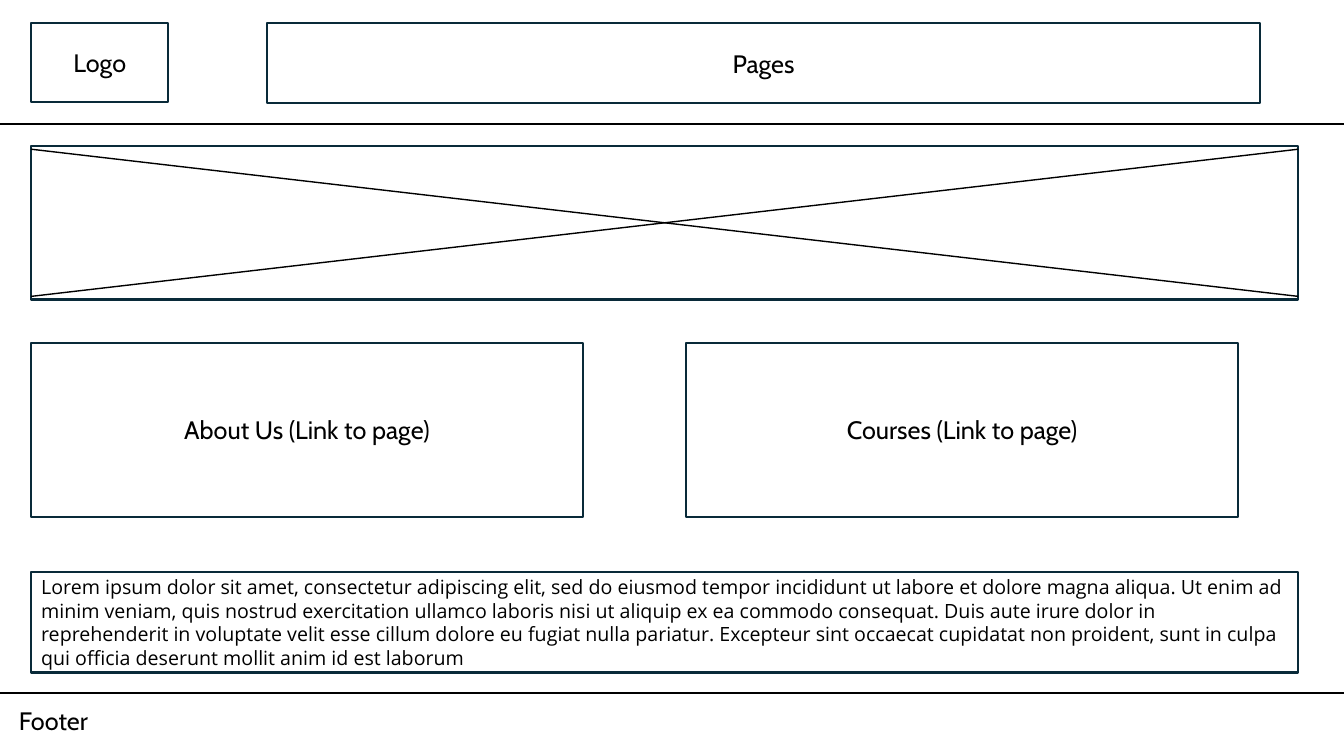
from lxml import etree
from pptx import Presentation
from pptx.dml.color import RGBColor
from pptx.enum.shapes import MSO_CONNECTOR, MSO_SHAPE
from pptx.enum.text import MSO_ANCHOR, MSO_AUTO_SIZE, PP_ALIGN
from pptx.oxml.ns import qn
from pptx.util import Pt

STRAIGHT = MSO_CONNECTOR.STRAIGHT
RECTANGLE = MSO_SHAPE.RECTANGLE
MIDDLE = MSO_ANCHOR.MIDDLE
GROW = MSO_AUTO_SIZE.SHAPE_TO_FIT_TEXT
LEFT, CENTER = PP_ALIGN.LEFT, PP_ALIGN.CENTER

PAGE_WIDTH, PAGE_HEIGHT = 960, 540
MARGIN = 22.3
CONTENT_WIDTH = 905
HEADER_TOP = 16.6
CARD_TOP, CARD_WIDTH, CARD_HEIGHT, CARD_STEP = 244.8, 393.9, 124.6, 468
CROSS_TOP, CROSS_BOTTOM = 106.6, 211.7

BLACK, WHITE, NAVY = "000000", "FFFFFF", "092A39"
LABEL_FONT, BODY_FONT = "Cabin", "Open Sans"

CARDS = ["About Us (Link to page)", "Courses (Link to page)"]
BODY_TEXT = (
    "Lorem ipsum dolor sit amet, consectetur adipiscing elit, sed do eiusmod "
    "tempor incididunt ut labore et dolore magna aliqua. Ut enim ad minim veniam, "
    "quis nostrud exercitation ullamco laboris nisi ut aliquip ex ea commodo "
    "consequat. Duis aute irure dolor in reprehenderit in voluptate velit esse "
    "cillum dolore eu fugiat nulla pariatur. Excepteur sint occaecat cupidatat non "
    "proident, sunt in culpa qui officia deserunt mollit anim id est laborum"
)


def color(hex_string):
    return RGBColor.from_string(hex_string)


def write_text(frame, text, font, size, align):
    frame.text = text
    para = frame.paragraphs[0]
    para.alignment = align
    span = para.runs[0]
    span.font.name = font
    span.font.size = Pt(size)
    span.font.color.rgb = color(BLACK)


def add_box(page, left, top, width, height, text="",
            font=LABEL_FONT, size=18, align=CENTER):
    """Add an outlined white rectangle, with text if any is given."""
    box = page.shapes.add_shape(RECTANGLE, Pt(left), Pt(top), Pt(width), Pt(height))
    box.shadow.inherit = False
    box.fill.solid()
    box.fill.fore_color.rgb = color(WHITE)
    box.line.color.rgb = color(NAVY)
    box.line.width = Pt(1.5)
    if text:
        box.text_frame.word_wrap = True
        box.text_frame.vertical_anchor = MIDDLE
        write_text(box.text_frame, text, font, size, align)


def add_line(page, x1, y1, x2, y2, width=1):
    line = page.shapes.add_connector(STRAIGHT, Pt(x1), Pt(y1), Pt(x2), Pt(y2))
    line.line.color.rgb = color(BLACK)
    line.line.width = Pt(width)
    etree.SubElement(line._element.spPr, qn("a:effectLst"))


def add_label(page, left, top, width, height, text):
    label = page.shapes.add_textbox(Pt(left), Pt(top), Pt(width), Pt(height))
    label.text_frame.word_wrap = False
    label.text_frame.auto_size = GROW
    write_text(label.text_frame, text, LABEL_FONT, 18, LEFT)


def add_header(page):
    add_box(page, MARGIN, HEADER_TOP, 98, 56.2, "Logo")
    add_box(page, 190.8, HEADER_TOP, 709.2, 56.9, "Pages")
    add_line(page, 0, 88.6, PAGE_WIDTH, 88.6)


def add_banner(page):
    """Add the crossed-out box that stands for a banner image."""
    right = MARGIN + CONTENT_WIDTH
    add_box(page, MARGIN, 104.4, CONTENT_WIDTH, 109.6)
    add_line(page, MARGIN, CROSS_BOTTOM, right, CROSS_TOP)
    add_line(page, MARGIN, CROSS_TOP, right, CROSS_BOTTOM)


def add_footer(page):
    add_line(page, 0, 494.8, PAGE_WIDTH, 494.8, 1.5)
    add_label(page, 6.4, 500.4, 65.5, 29, "Footer")


def main():
    deck = Presentation()
    deck.slide_width, deck.slide_height = Pt(PAGE_WIDTH), Pt(PAGE_HEIGHT)
    page = deck.slides.add_slide(deck.slide_layouts[6])
    add_header(page)
    add_banner(page)
    for index, title in enumerate(CARDS):
        add_box(page, MARGIN + index * CARD_STEP, CARD_TOP,
                CARD_WIDTH, CARD_HEIGHT, title)
    add_box(page, MARGIN, 408.4, CONTENT_WIDTH, 72, BODY_TEXT, BODY_FONT, 14, LEFT)
    add_footer(page)
    deck.save("out.pptx")


if __name__ == "__main__":
    main()
